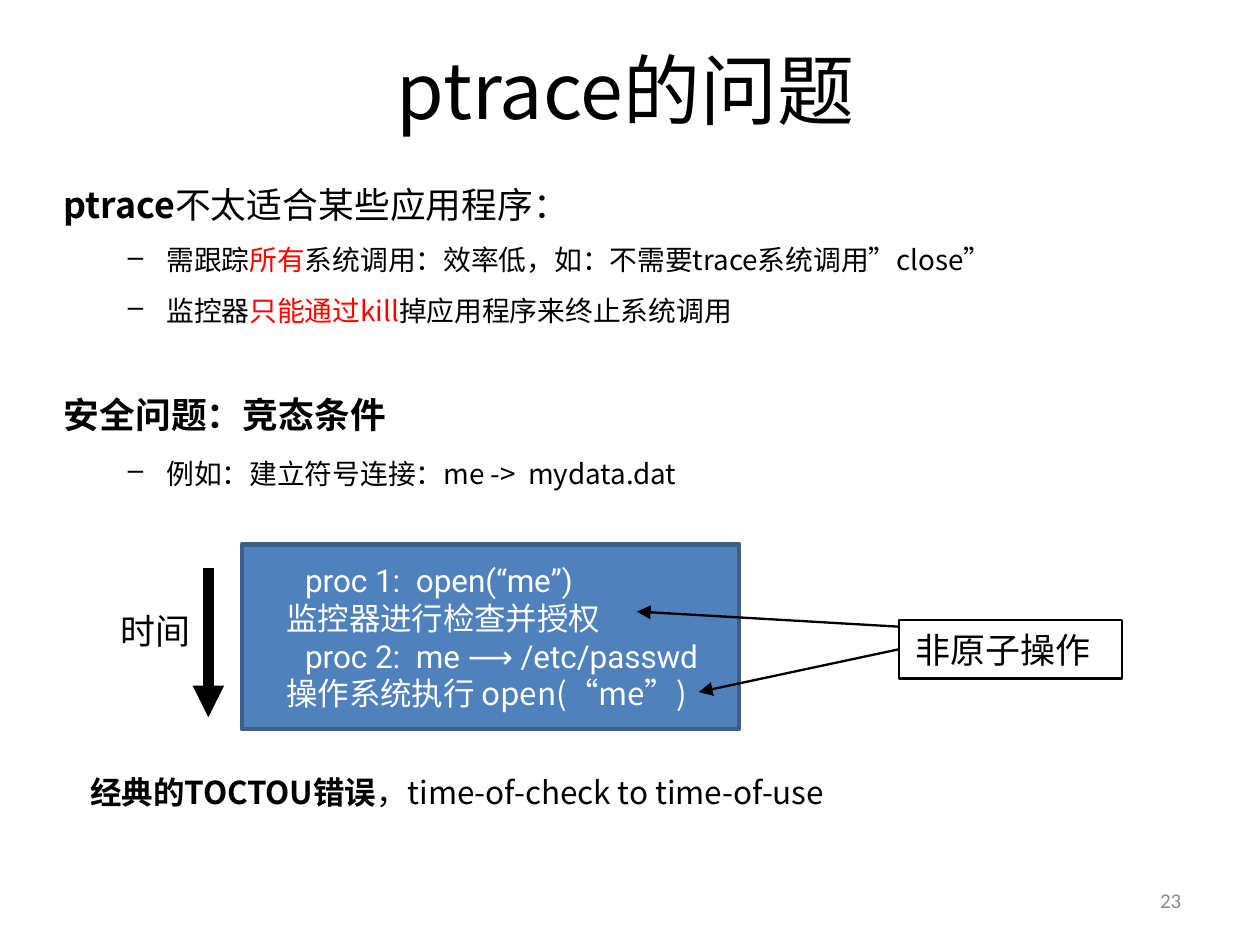
import pptx
import pptx.util
import pptx.dml.color
import pptx.enum.shapes
import pptx.enum.text
import pptx.oxml.ns
import lxml.etree
import dataclasses

Pt = pptx.util.Pt
RGB = pptx.dml.color.RGBColor.from_string
Align = pptx.enum.text.PP_ALIGN
Anchor = pptx.enum.text.MSO_ANCHOR
Fit = pptx.enum.text.MSO_AUTO_SIZE
qn = pptx.oxml.ns.qn


@dataclasses.dataclass
class Theme:
    ink: str = "000000"
    red: str = "FF0000"
    white: str = "FFFFFF"
    blue: str = "4F81BD"
    edge: str = "3A5F8C"
    gray: str = "8C8C8C"
    cjk: str = "Noto Sans CJK SC"
    code: str = "Roboto"
    num: str = "Calibri"
    title: float = 33
    head: float = 15.3
    item: float = 11.9
    label: float = 15
    step: float = 13.5
    foot: float = 9


class Deck:
    """Draws styled elements on one slide."""

    def __init__(self, theme):
        self.theme = theme
        self.prs = pptx.Presentation()
        self.prs.slide_width, self.prs.slide_height = Pt(540), Pt(405)
        self.slide = self.prs.slides.add_slide(self.prs.slide_layouts[5])

    def run(self, para, text, size, color=None, bold=False, font=None):
        run = para.add_run()
        run.text = text
        run.font.size, run.font.bold = Pt(size), bold
        run.font.name = font or self.theme.cjk
        run.font.color.rgb = RGB(color or self.theme.ink)
        east = lxml.etree.Element(qn("a:ea"), typeface=self.theme.cjk)
        run.font._element.find(qn("a:latin")).addnext(east)

    def para(self, frame, first, runs, size, left=0, hang=0, mark=None, before=0, space=None, align=Align.LEFT):
        para = frame.paragraphs[0] if first else frame.add_paragraph()
        para.alignment, para.space_before = align, Pt(before)
        if space:
            para.line_spacing = space
        props = para._p.get_or_add_pPr()
        props.set("marL", str(Pt(left)))
        props.set("indent", str(Pt(-hang)))
        if mark:
            lxml.etree.SubElement(props, qn("a:buChar"), char=mark)
        for text, *style in runs:
            self.run(para, text, size, *style)

    def title(self, box, text):
        shape = self.slide.shapes.title
        shape.left, shape.top, shape.width, shape.height = map(Pt, box)
        shape.text_frame.vertical_anchor = Anchor.MIDDLE
        self.para(shape.text_frame, True, [(text,)], self.theme.title, align=Align.CENTER)

    def text(self, box, paras, anchor=Anchor.TOP, wrap=True, fit=Fit.NONE):
        shape = self.slide.shapes.add_textbox(*map(Pt, box))
        self.fill(shape.text_frame, paras, anchor, wrap, fit)

    def fill(self, frame, paras, anchor, wrap=True, fit=Fit.NONE):
        frame.word_wrap, frame.auto_size, frame.vertical_anchor = wrap, fit, anchor
        for i, item in enumerate(paras):
            self.para(frame, i == 0, **item)

    def rect(self, box, paras, edge, width, fill=None, anchor=Anchor.TOP):
        shape = self.slide.shapes.add_shape(pptx.enum.shapes.MSO_SHAPE.RECTANGLE, *map(Pt, box))
        shape.shadow.inherit = False
        if fill:
            shape.fill.solid()
            shape.fill.fore_color.rgb = RGB(fill)
        else:
            shape.fill.background()
        shape.line.color.rgb, shape.line.width = RGB(edge), Pt(width)
        self.fill(shape.text_frame, paras, anchor)
        return shape

    def arrow(self, start, end, width, source=None):
        line = self.slide.shapes.add_connector(
            pptx.enum.shapes.MSO_CONNECTOR.STRAIGHT, *map(Pt, start + end))
        line.line.color.rgb, line.line.width = RGB(self.theme.ink), Pt(width)
        lxml.etree.SubElement(line.line._get_or_add_ln(), qn("a:tailEnd"), type="triangle")
        lxml.etree.SubElement(line._element.spPr, qn("a:effectLst"))
        if source:
            line.begin_connect(source, 1)


def main():
    theme = Theme()
    deck = Deck(theme)
    deck.title((25.2, 13, 486, 50.4), "ptrace的问题")

    head = dict(size=theme.head, space=1.35)
    item = dict(size=theme.item, space=1.35, left=44, hang=16.5, mark="–")
    deck.text((20.2, 68.4, 495.4, 146.2), [
        dict(head, before=3, runs=[("ptrace", theme.ink, True), ("不太适合某些应用程序：",)]),
        dict(item, before=2.4, runs=[
            ("需跟踪",), ("所有", theme.red),
            ("系统调用：效率低，如：不需要trace系统调用”close”",)]),
        dict(item, before=2.4, runs=[
            ("监控器",), ("只能通过kill", theme.red), ("掉应用程序来终止系统调用",)]),
        dict(head, before=22, runs=[("安全问题：竞态条件", theme.ink, True)]),
        dict(item, before=3.8, runs=[("例如：建立符号连接：me ->  mydata.dat",)]),
    ])

    steps = [
        ("proc 1:  open(“me”)", theme.code, 20),
        ("监控器进行检查并授权", theme.cjk, 12),
        ("proc 2:  me ⟶ /etc/passwd", theme.code, 20),
        ("操作系统执行 open(“me”)", theme.cjk, 12),
    ]
    deck.rect((103.7, 233.3, 213.1, 79.2), [
        dict(runs=[(text, theme.white, False, font)], size=theme.step, left=left)
        for text, font, left in steps
    ], theme.edge, 2, theme.blue, Anchor.MIDDLE)

    deck.arrow((89.3, 243.4), (89.3, 307.4), 4.5)
    deck.text((44.6, 257.8, 44.6, 25.2), [dict(runs=[("时间",)], size=theme.label)],
              wrap=False, fit=Fit.SHAPE_TO_FIT_TEXT)

    note = deck.rect((385.2, 265.7, 95.8, 25.2),
                     [dict(runs=[("非原子操作",)], size=theme.label)], theme.ink, 1)
    deck.arrow((385.2, 268.6), (272.9, 262.1), 1)
    deck.arrow((385.2, 278.3), (299.5, 296.6), 1, note)

    deck.text((31.7, 327.6, 463, 23.8), [dict(size=theme.step, runs=[
        ("经典的TOCTOU错误", theme.ink, True), ("，time-of-check to time-of-use",)])],
        fit=Fit.SHAPE_TO_FIT_TEXT)
    deck.text((387.4, 375.1, 126, 21.6), [dict(
        runs=[("23", theme.gray, False, theme.num)], size=theme.foot, align=Align.RIGHT)],
        Anchor.MIDDLE)
    deck.prs.save("out.pptx")


if __name__ == "__main__":
    main()
